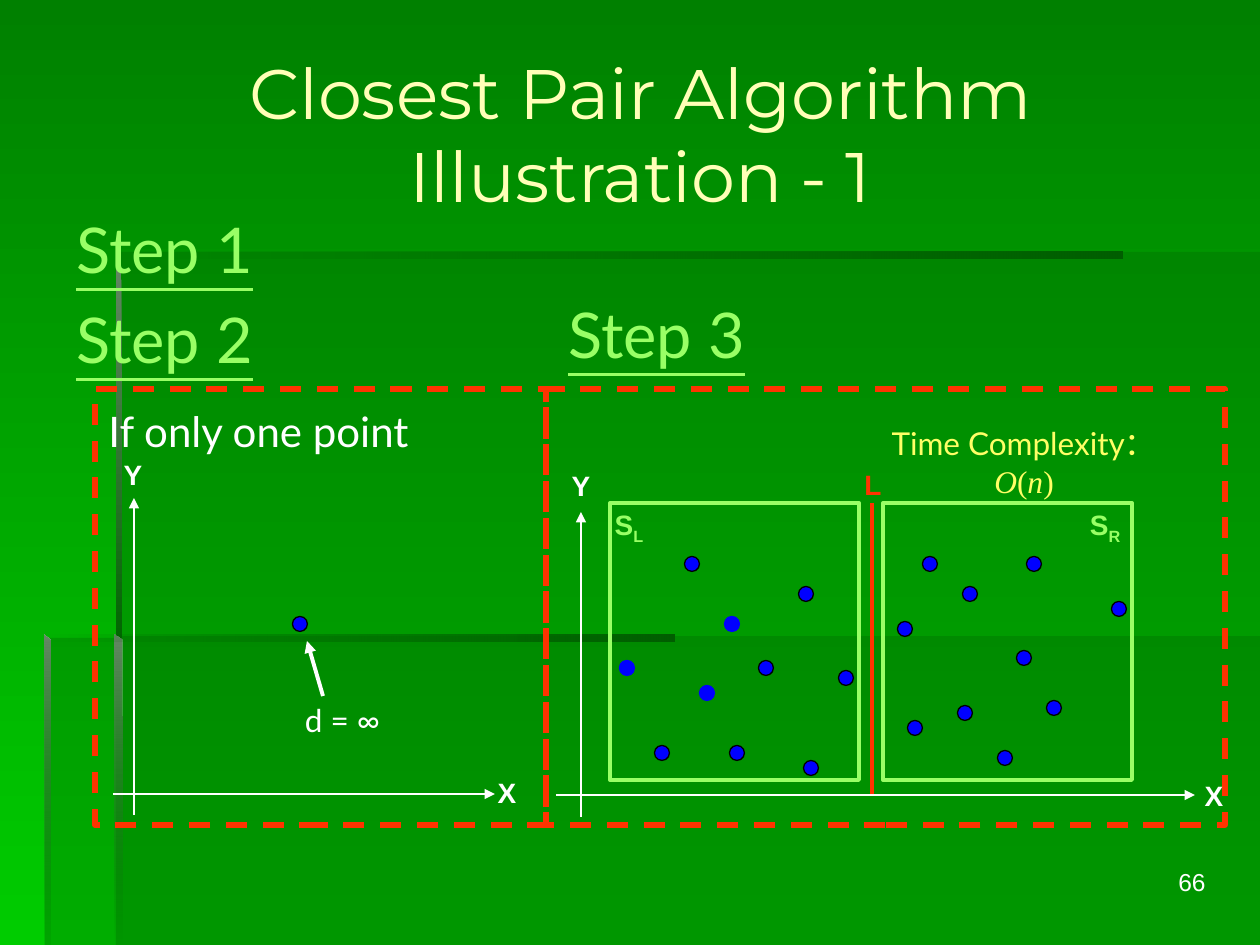
from lxml import etree
from pptx import Presentation
from pptx.dml.color import RGBColor
from pptx.enum.dml import MSO_LINE
from pptx.enum.shapes import MSO_CONNECTOR, MSO_SHAPE
from pptx.enum.text import MSO_ANCHOR, PP_ALIGN
from pptx.oxml.ns import qn
from pptx.util import Emu, Pt

PX = 914400 / 126
DASH = MSO_LINE.DASH
STRAIGHT = MSO_CONNECTOR.STRAIGHT
RECTANGLE, OVAL = MSO_SHAPE.RECTANGLE, MSO_SHAPE.OVAL
MIDDLE, TOP = MSO_ANCHOR.MIDDLE, MSO_ANCHOR.TOP
LEFT, CENTER, RIGHT = PP_ALIGN.LEFT, PP_ALIGN.CENTER, PP_ALIGN.RIGHT
COLORS = {
    "background_top": "008000", "background_bottom": "00CC00",
    "shade": "006600", "shade_end": "005E00", "edge": "668666",
    "title": "FFFFB7", "white": "FFFFFF", "black": "000000",
    "green": "99FF66", "red": "FF3300", "blue": "0000FF", "yellow": "FFFF66",
}
POINT_SIZE = 15
LABEL_WIDTH = 48
LEFT_POINTS = [(146, 175), (260, 205), (220, 279), (300, 289),
               (116, 364), (191, 364), (265, 379)]
LEFT_BLUE_POINTS = [(186, 235), (81, 279), (161, 304)]
RIGHT_POINTS = [(384, 175), (488, 175), (424, 205), (573, 220), (359, 240),
                (478, 269), (419, 324), (508, 319), (369, 339), (459, 369)]


def px(value):
    return Emu(round(value * PX))


def color(name):
    return RGBColor.from_string(COLORS[name])


def fill_gradient(fill, names, angle):
    fill.gradient()
    fill.gradient_angle = angle
    for stop, name in zip(fill.gradient_stops, names):
        stop.color.rgb = color(name)


def set_alphas(shape, alphas):
    for node, alpha in zip(shape.element.spPr.iter(qn("a:srgbClr")), alphas):
        if alpha < 100:
            etree.SubElement(node, qn("a:alpha"), val=str(alpha * 1000))


def add_polygon(slide, points):
    builder = slide.shapes.build_freeform(*points[0], scale=PX)
    builder.add_line_segments(points[1:], close=True)
    shape = builder.convert_to_shape()
    shape.shadow.inherit = False
    shape.line.fill.background()
    return shape


def add_outline(slide, kind, box, line_color, width, fill_color=None):
    shape = slide.shapes.add_shape(kind, *map(px, box))
    shape.shadow.inherit = False
    if fill_color:
        shape.fill.solid()
        shape.fill.fore_color.rgb = color(fill_color)
    else:
        shape.fill.background()
    shape.line.color.rgb = color(line_color)
    shape.line.width = Pt(width)
    return shape


def add_line(slide, start, end, line_color, width, arrow=True):
    connector = slide.shapes.add_connector(STRAIGHT, *map(px, (*start, *end)))
    connector.line.color.rgb = color(line_color)
    connector.line.width = Pt(width)
    if arrow:
        line = connector.element.spPr.find(qn("a:ln"))
        etree.SubElement(line, qn("a:tailEnd"), type="triangle")
    etree.SubElement(connector.element.spPr, qn("a:effectLst"))


def add_text(slide, box, parts, size, text_color, font="Lato", align=LEFT,
             inset=True, wrap=True, anchor=TOP, **styles):
    frame = slide.shapes.add_textbox(*map(px, box)).text_frame
    frame.word_wrap = wrap
    frame.vertical_anchor = anchor
    if not inset:
        frame.margin_left = frame.margin_right = 0
        frame.margin_top = frame.margin_bottom = 0
    paragraph = frame.paragraphs[0]
    paragraph.alignment = align
    for part in parts:
        run = paragraph.add_run()
        run.text = part
        run.font.size = Pt(size)
        run.font.name = font
        run.font.color.rgb = color(text_color)
        for style, value in styles.items():
            setattr(run.font, style, value)
    return paragraph.runs


def add_label(slide, center_x, top, parts, text_color="white"):
    box = (center_x - LABEL_WIDTH / 2, top, LABEL_WIDTH, 34)
    return add_text(slide, box, parts, 16, text_color, "Arial", CENTER,
                    inset=False, wrap=False, bold=True)


def add_step(slide, left, top, number):
    add_text(slide, (left, top, 203, 88), [f"Step {number}"], 36, "green",
             wrap=False, underline=True)


def add_points(slide, left, top, centers, line_color="black"):
    for x, y in centers:
        box = (left + x - POINT_SIZE / 2, top + y - POINT_SIZE / 2,
               POINT_SIZE, POINT_SIZE)
        add_outline(slide, OVAL, box, line_color, 0, "blue")


def draw_backdrop(slide, width, height):
    fill_gradient(slide.background.fill,
                  ("background_top", "background_bottom"), 270)
    lower = [(116, 636), (116, height), (width, height), (width, 636)]
    corner = [(118, 638), (45, 638), (45, height), (width, height),
              (width, 252), (118, 252)]
    for points in (lower, corner):
        shape = add_polygon(slide, points)
        shape.fill.solid()
        shape.fill.fore_color.rgb = color("shade")
        set_alphas(shape, [30])

    across, down = ("shade", "shade_end"), ("edge", "shade")
    bars = [
        ([(116, 252), (116, 259), (1123, 259), (1123, 252)], across, 0, (0, 100)),
        ([(116, 252), (116, 643), (122, 643), (121, 257)], down, 270, (100, 100)),
        ([(115, height), (122, height), (121, 640), (115, 635)], down, 270, (100, 0)),
        ([(44, 635), (44, 641), (674, 641), (674, 635)], across, 0, (0, 100)),
        ([(44, 635), (44, height), (50, height), (50, 641)], down, 270, (100, 10)),
    ]
    for points, names, angle, alphas in bars:
        shape = add_polygon(slide, points)
        fill_gradient(shape.fill, names, angle)
        set_alphas(shape, alphas)


def draw_panel(slide, box):
    panel = add_outline(slide, RECTANGLE, box, "red", 3)
    panel.line.dash_style = DASH


def draw_single_point(slide, box):
    left, top = box[:2]
    draw_panel(slide, box)
    add_text(slide, (left + 1, top + 10, 335, 79), ["If only one point"], 24, "white")
    add_line(slide, (left + 39, top + 426), (left + 39, top + 109), "white", 1.5)
    add_line(slide, (left + 18, top + 405), (left + 400, top + 405), "white", 1.5)
    add_label(slide, left + 412, top + 387, ["X"])
    add_label(slide, left + 38, top + 68, ["Y"])
    add_points(slide, left, top, [(205, 235)])
    add_line(slide, (left + 228, top + 307), (left + 212, top + 252), "white", 2.25)
    add_text(slide, (left + 210, top + 312, 117, 49), ["d = ∞"], 18, "white",
             inset=False)


def draw_divided_points(slide, box):
    left, top = box[:2]
    draw_panel(slide, box)
    for x in (64, 337):
        add_outline(slide, RECTANGLE, (left + x, top + 114, 249, 277), "green", 2.25)
    add_line(slide, (left + 326, top + 114), (left + 326, top + 405), "red", 2.25,
             arrow=False)
    add_line(slide, (left + 35, top + 428), (left + 35, top + 123), "white", 1.5)
    add_line(slide, (left + 10, top + 406), (left + 649, top + 406), "white", 1.5)
    add_label(slide, left + 35, top + 80, ["Y"])
    add_label(slide, left + 668, top + 390, ["X"])
    add_label(slide, left + 327, top + 79, ["L"], "red")
    for x, side in ((83, "L"), (559, "R")):
        runs = add_label(slide, left + x, top + 119, ["S", side], "green")
        runs[1]._r.get_or_add_rPr().set("baseline", "-25000")
    add_points(slide, left, top, LEFT_POINTS + RIGHT_POINTS)
    add_points(slide, left, top, LEFT_BLUE_POINTS, "blue")
    runs = add_text(slide, (left + 304, top + 29, 348, 50),
                    ["Time Complexity：", "O", "(", "n", ")"], 18, "yellow",
                    align=CENTER)
    for run in runs[1:]:
        run.font.name = "Times New Roman"
        run.font.italic = run.text.isalpha()


def main():
    presentation = Presentation()
    presentation.slide_width, presentation.slide_height = px(1260), px(945)
    slide = presentation.slides.add_slide(presentation.slide_layouts[6])
    draw_backdrop(slide, 1260, 945)
    add_text(slide, (63, 34, 1155, 198), ["Closest Pair Algorithm Illustration - 1"],
             40, "title", "Montserrat", CENTER, anchor=MIDDLE)
    draw_single_point(slide, (95, 389, 451, 436))
    draw_divided_points(slide, (546, 389, 679, 436))
    for number, (left, top) in enumerate([(64, 204), (64, 294), (556, 289)], 1):
        add_step(slide, left, top, number)
    add_text(slide, (956, 861, 262, 66), ["66"], 14, "white", "Arial", RIGHT)
    presentation.save("out.pptx")


if __name__ == "__main__":
    main()
